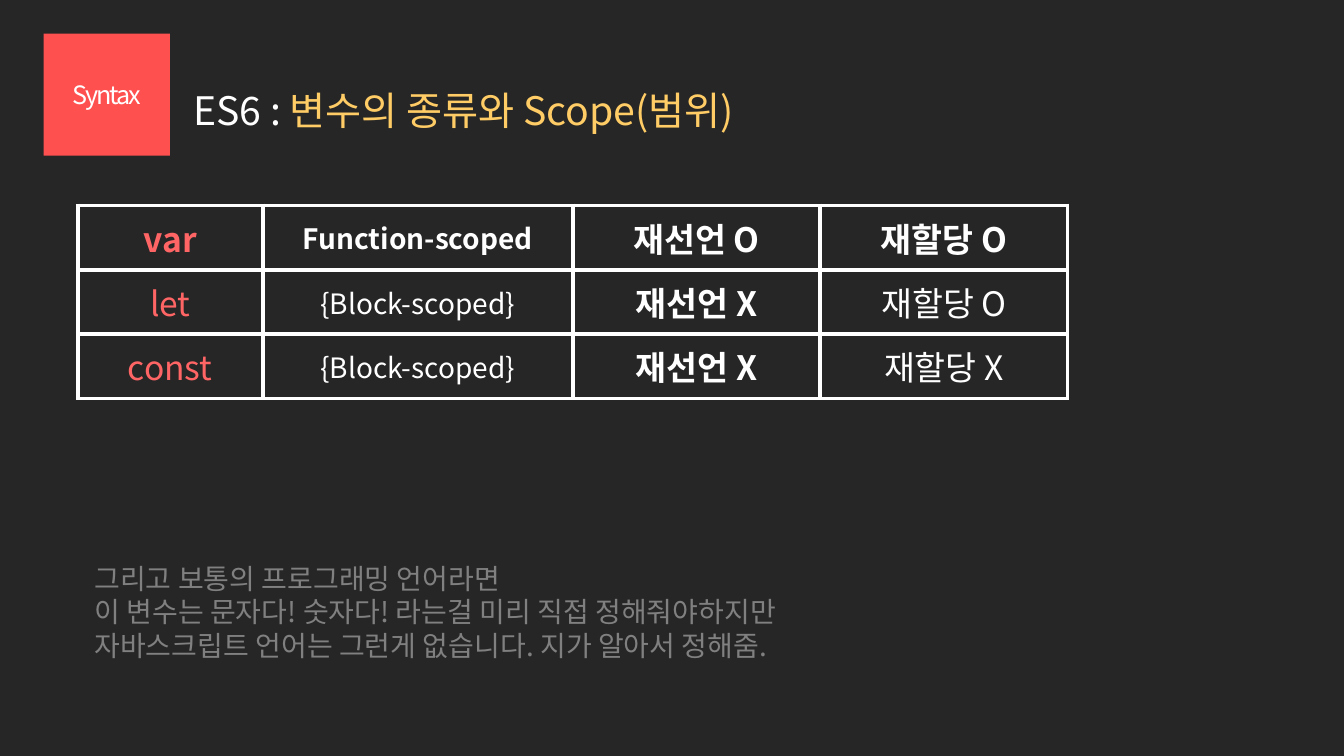
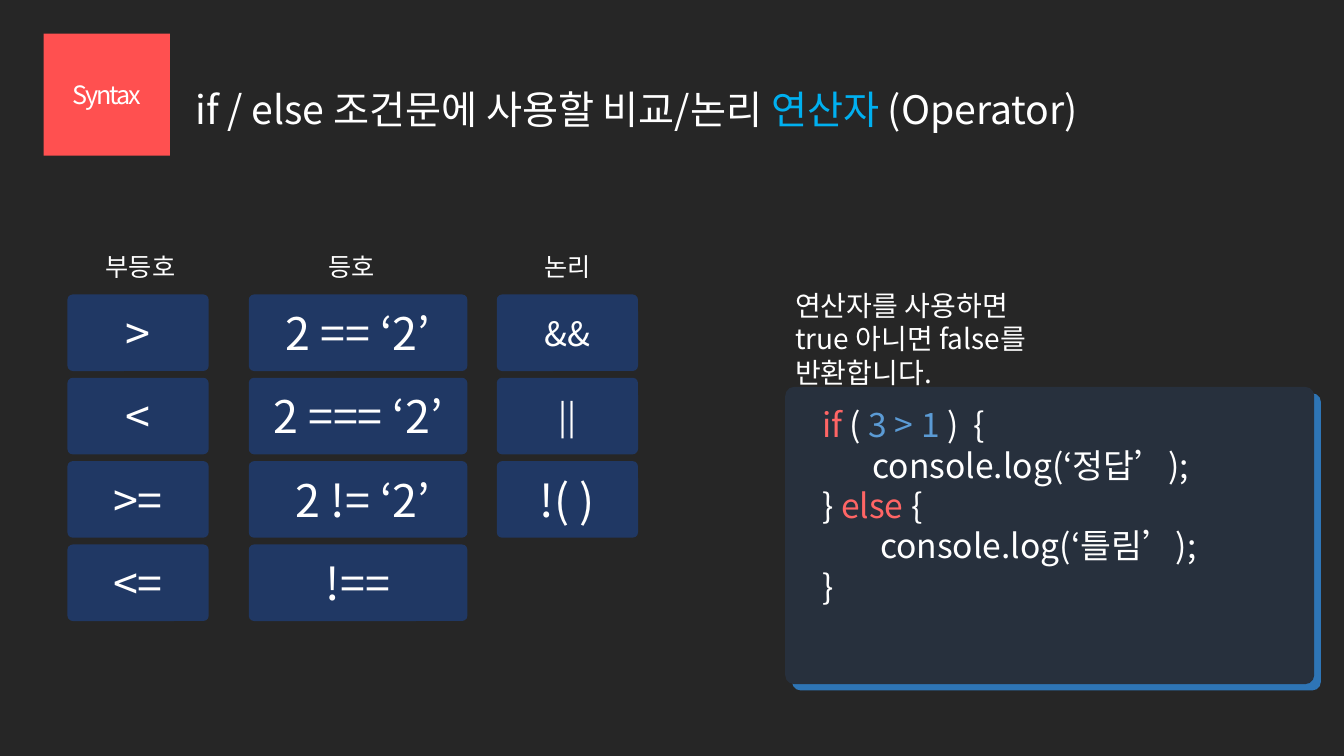
from lxml.etree import SubElement
from pptx import Presentation
from pptx.dml.color import RGBColor
from pptx.enum.shapes import MSO_SHAPE
from pptx.enum.text import MSO_ANCHOR, MSO_AUTO_SIZE, PP_ALIGN
from pptx.oxml.ns import qn
from pptx.util import Cm, Pt

FONT = "Noto Sans CJK KR"
BACKGROUND = RGBColor(0x26, 0x26, 0x26)
WHITE = RGBColor(0xFF, 0xFF, 0xFF)
GRAY = RGBColor(0x80, 0x80, 0x80)
RED = RGBColor(0xFF, 0x50, 0x50)
CORAL = RGBColor(0xFF, 0x65, 0x65)
YELLOW = RGBColor(0xFF, 0xCC, 0x66)
CYAN = RGBColor(0x00, 0xB0, 0xF0)
SKY = RGBColor(0x5B, 0x9B, 0xD5)
BLUE = RGBColor(0x2E, 0x75, 0xB6)
NAVY = RGBColor(0x20, 0x38, 0x64)
SLATE = RGBColor(0x27, 0x30, 0x3D)


def write(frame, lines, size, color=WHITE, align=PP_ALIGN.LEFT, bold=False):
    for index, spans in enumerate(lines):
        para = frame.add_paragraph() if index else frame.paragraphs[0]
        para.alignment = align
        para.font.size = Pt(size)
        para.font.bold = bold
        para.font.color.rgb = color
        para.font.name = FONT
        SubElement(para._p.pPr.defRPr, qn("a:ea"), typeface=FONT)
        for text, span_color in spans:
            span = para.add_run()
            span.text = text
            if span_color:
                span.font.color.rgb = span_color


def add_block(page, left, top, width, height, fill, corner):
    block = page.shapes.add_shape(
        MSO_SHAPE.ROUNDED_RECTANGLE, Cm(left), Cm(top), Cm(width), Cm(height))
    block.adjustments[0] = corner
    block.shadow.inherit = False
    block.fill.solid()
    block.fill.fore_color.rgb = fill
    block.line.fill.background()
    block.text_frame.vertical_anchor = MSO_ANCHOR.MIDDLE
    return block


deck = Presentation()
deck.slide_width = Cm(33.87)
deck.slide_height = Cm(19.05)
master_fill = deck.slide_master.background.fill
master_fill.solid()
master_fill.fore_color.rgb = BACKGROUND

titles = [
    ((4.62, 2.18, 28.5, 2.08), MSO_ANCHOR.TOP, 0.9,
     [("ES6 : ", None), ("변수의 종류와 Scope(범위)", YELLOW)]),
    ((4.67, 1.19, 26.57, 2.51), MSO_ANCHOR.MIDDLE, 1.5,
     [("if / else 조건문에 사용할 비교/논리 ", None), ("연산자 ", CYAN),
      ("(Operator)", None)]),
]
pages = []
for place, anchor, spacing, spans in titles:
    page = deck.slides.add_slide(deck.slide_layouts.get_by_name("Title Only"))
    title = page.shapes.title
    title.left, title.top, title.width, title.height = map(Cm, place)
    title.text_frame.auto_size = MSO_AUTO_SIZE.NONE
    title.text_frame.vertical_anchor = anchor
    write(title.text_frame, [spans], 28)
    title.text_frame.paragraphs[0].line_spacing = spacing

    badge = add_block(page, 1.1, 0.85, 3.18, 3.07, RED, 0)
    write(badge.text_frame, [[("Syntax", None)]], 18, align=PP_ALIGN.CENTER)
    badge_para = badge.text_frame.paragraphs[0]
    badge_para.space_before = Pt(10)
    badge_para.runs[0]._r.get_or_add_rPr().set("spc", "-150")
    pages.append(page)

variables_page, operators_page = pages

rows = [
    ["var", "Function-scoped", "재선언 O", "재할당 O"],
    ["let", "{Block-scoped}", "재선언 X", "재할당 O"],
    ["const", "{Block-scoped}", "재선언 X", "재할당 X"],
]
column_widths = [4.66, 7.82, 6.23, 6.23]
row_height = 1.62
table = variables_page.shapes.add_table(
    len(rows), len(column_widths), Cm(1.96), Cm(5.18),
    Cm(sum(column_widths)), Cm(row_height * len(rows))).table
table.first_row = False
table.horz_banding = False
for column, width in zip(table.columns, column_widths):
    column.width = Cm(width)
for row_index, texts in enumerate(rows):
    table.rows[row_index].height = Cm(row_height)
    for column_index, text in enumerate(texts):
        cell = table.cell(row_index, column_index)
        cell.vertical_anchor = MSO_ANCHOR.MIDDLE
        properties = cell._tc.get_or_add_tcPr()
        for side in ("lnL", "lnR", "lnT", "lnB"):
            border = SubElement(properties, qn(f"a:{side}"), w=str(Pt(3)))
            border_fill = SubElement(border, qn("a:solidFill"))
            SubElement(border_fill, qn("a:srgbClr"), val=str(WHITE))
        cell.fill.solid()
        cell.fill.fore_color.rgb = BACKGROUND
        write(cell.text_frame, [[(text, None)]],
              20 if column_index == 1 else 24,
              CORAL if column_index == 0 else WHITE,
              PP_ALIGN.CENTER, row_index == 0 or column_index == 2)

note = variables_page.shapes.add_textbox(Cm(2.13), Cm(14.02), Cm(29.87), Cm(2.82))
note.text_frame.word_wrap = True
write(note.text_frame, [
    [("그리고 보통의 프로그래밍 언어라면", None)],
    [("이 변수는 문자다! 숫자다! 라는걸 미리 직접 정해줘야하지만", None)],
    [("자바스크립트 언어는 그런게 없습니다. 지가 알아서 정해줌.", None)],
], 20, GRAY)

operator_groups = [
    ("부등호", 2.41, 2.26, 1.7, 3.56,
     [(">", 32), ("<", 32), (">=", 32), ("<=", 32)]),
    ("등호", 8.03, 1.68, 6.27, 5.51,
     [("2 == ‘2’", 32), ("2 === ‘2’", 32), (" 2 != ‘2’", 32), ("!==", 32)]),
    ("논리", 13.46, 1.68, 12.52, 3.56,
     [("&&", 24), ("||", 24), ("!( )", 32)]),
]
for heading, heading_left, heading_width, left, width, operators in operator_groups:
    label = operators_page.shapes.add_textbox(
        Cm(heading_left), Cm(6.22), Cm(heading_width), Cm(1.02))
    label.text_frame.word_wrap = False
    write(label.text_frame, [[(heading, None)]], 18, align=PP_ALIGN.CENTER)
    for index, (operator, size) in enumerate(operators):
        button = add_block(
            operators_page, left, 7.42 + 2.1 * index, width, 1.93, NAVY, 0.07)
        write(button.text_frame, [[(operator, None)]], size, align=PP_ALIGN.CENTER)

for left, top, fill in ((19.96, 9.91, BLUE), (19.79, 9.75, SLATE)):
    add_block(operators_page, left, top, 13.33, 7.49, fill, 0.03)

code = operators_page.shapes.add_textbox(Cm(20.47), Cm(10.06), Cm(12.4), Cm(5.38))
code.text_frame.word_wrap = True
write(code.text_frame, [
    [("if ", CORAL), ("( ", None), ("3 > 1 ", SKY), (")  {", None)],
    [("\tconsole.log(‘정답’);", None)],
    [("} ", None), ("else ", CORAL), ("{", None)],
    [("\t console.log(‘틀림’);", None)],
    [("}", None)],
], 24)

remark = operators_page.shapes.add_textbox(Cm(19.79), Cm(7.14), Cm(7.6), Cm(2.7))
remark.text_frame.word_wrap = True
write(remark.text_frame, [
    [("연산자를 사용하면", None)],
    [("true 아니면 false를 반환합니다.", None)],
], 20)

deck.save("out.pptx")
